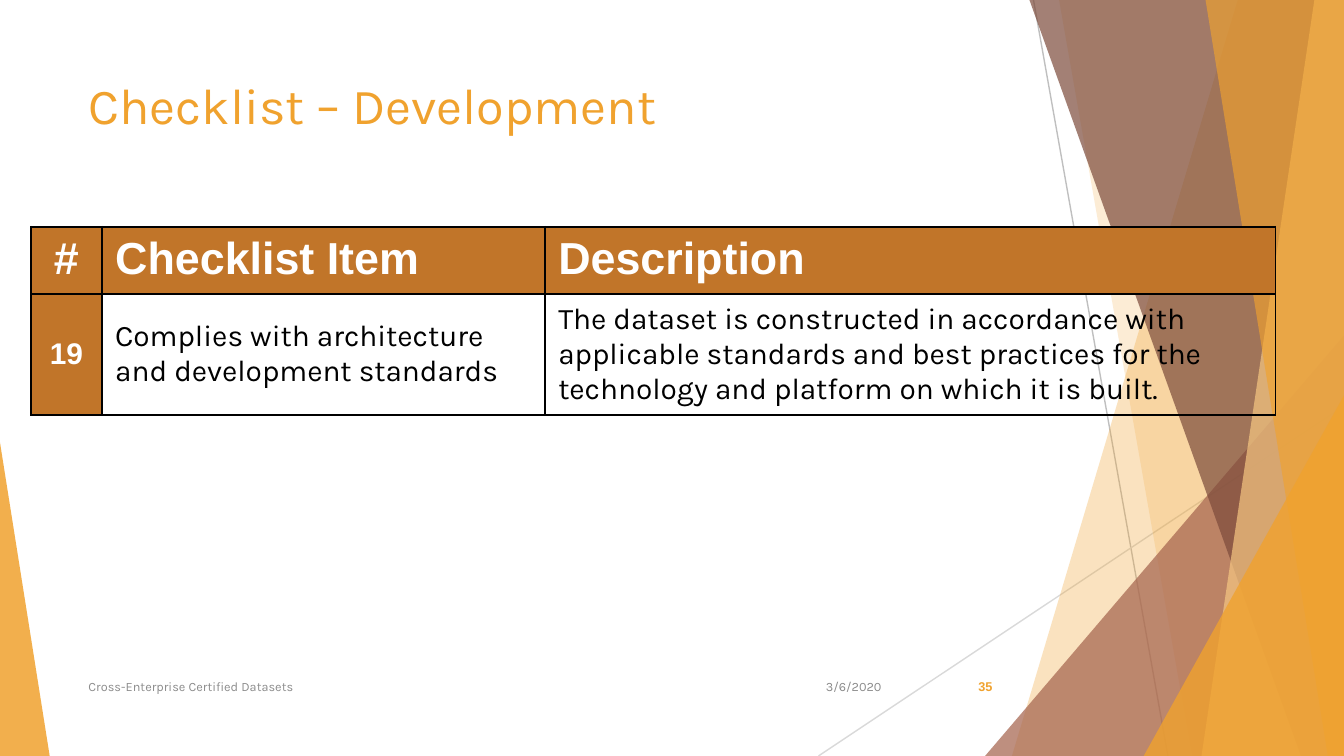
from dataclasses import dataclass

from lxml import etree
from pptx import Presentation
from pptx import util as u
from pptx.dml.color import RGBColor
from pptx.enum import shapes, text
from pptx.oxml.ns import qn


@dataclass(frozen=True)
class Theme:
    body_font: str = "Karla"
    strong_font: str = "Arial"
    amber: str = "F0A22E"
    sand: str = "F6C782"
    clay: str = "A5644E"
    brown: str = "7C4B3B"
    header: str = "C17529"
    ink: str = "000000"
    white: str = "FFFFFF"
    muted: str = "8C8C8C"
    line_dark: str = "BFBFBF"
    line_light: str = "D9D9D9"
    title: float = 27
    heading: float = 24
    body: float = 16
    small: float = 6.8


THEME = Theme()


@dataclass(frozen=True)
class Box:
    left: int
    top: int
    width: int
    height: int

    def point(self, x, y):
        """Turn percentages of this box into a position on the slide."""
        return (round(self.left + self.width * x / 100),
                round(self.top + self.height * y / 100))

    def area(self, x, y, width, height):
        """Cut out a smaller box, measured in percentages."""
        return Box(*self.point(x, y), round(self.width * width / 100),
                   round(self.height * height / 100))

    def frame(self):
        return self.left, self.top, self.width, self.height


def write(frame, words, *, size, color, font=THEME.body_font, bold=False,
          align=text.PP_ALIGN.LEFT):
    para = frame.paragraphs[0]
    para.alignment = align
    span = para.add_run()
    span.text = words
    span.font.name = font
    span.font.size = u.Pt(size)
    span.font.bold = bold
    span.font.color.rgb = RGBColor.from_string(color)


def add_text(page, box, words, anchor=text.MSO_ANCHOR.MIDDLE, **style):
    frame = page.shapes.add_textbox(*box.frame()).text_frame
    frame.word_wrap = True
    frame.vertical_anchor = anchor
    write(frame, words, **style)


def paint(shape, color, opacity):
    shape.shadow.inherit = False
    shape.line.fill.background()
    shape.fill.solid()
    shape.fill.fore_color.rgb = RGBColor.from_string(color)
    tint = shape._element.spPr.find(".//" + qn("a:srgbClr"))
    etree.SubElement(tint, qn("a:alpha"), val=str(opacity * 1000))


def add_hairline(page, box, start, end, color):
    line = page.shapes.add_connector(shapes.MSO_CONNECTOR.STRAIGHT,
                                     *box.point(*start), *box.point(*end))
    line.line.width = u.Pt(0.75)
    line.line.color.rgb = RGBColor.from_string(color)
    etree.SubElement(line._element.spPr, qn("a:effectLst"))


def add_blade(page, box, top, bottom, color, opacity):
    """Fill from a slanted edge to the right side of the box."""
    builder = page.shapes.build_freeform(*box.point(top, 0))
    builder.add_line_segments(
        [box.point(100, 0), box.point(100, 100), box.point(bottom, 100)])
    paint(builder.convert_to_shape(), color, opacity)


def add_corner(page, box, apex, color, opacity):
    """Draw a right triangle whose apex is at the left (0) or right (1)."""
    corner = page.shapes.add_shape(
        shapes.MSO_SHAPE.ISOSCELES_TRIANGLE, *box.frame())
    corner.adjustments[0] = apex
    paint(corner, color, opacity)


def add_backdrop(page, box):
    add_hairline(page, box, (76.9, 0), (86.9, 100), THEME.line_dark)
    add_hairline(page, box, (100, 53.7), (60.9, 100), THEME.line_light)
    add_blade(page, box, 92.1, 75.3, THEME.amber, 30)
    add_blade(page, box, 78.8, 88.7, THEME.amber, 20)
    add_corner(page, box.area(73.3, 44.4, 26.7, 55.6), 1, THEME.clay, 72)
    add_blade(page, box, 76.6, 96.8, THEME.brown, 70)
    add_blade(page, box, 97.8, 89.4, THEME.sand, 70)
    add_blade(page, box, 89.7, 98.8, THEME.amber, 65)
    add_corner(page, box.area(85.1, 52.3, 14.9, 47.7), 1, THEME.amber, 80)
    add_corner(page, box.area(0, 58.5, 3.7, 41.5), 0, THEME.amber, 85)


def add_cell_border(cell):
    props = cell._tc.get_or_add_tcPr()
    for index, side in enumerate(("lnL", "lnR", "lnT", "lnB")):
        edge = etree.Element(qn("a:" + side), w=str(u.Pt(1)))
        fill = etree.SubElement(edge, qn("a:solidFill"))
        etree.SubElement(fill, qn("a:srgbClr"), val=THEME.ink)
        props.insert(index, edge)


def add_checklist(page, box, rows):
    columns, heights = (5.7, 35.6, 58.7), (35, 65)
    table = page.shapes.add_table(len(rows), len(columns), *box.frame()).table
    table.first_row = table.horz_banding = False
    for column, share in zip(table.columns, columns):
        column.width = round(box.width * share / 100)
    for row, share in zip(table.rows, heights):
        row.height = round(box.height * share / 100)
    for r, row in enumerate(rows):
        for c, words in enumerate(row):
            cell = table.cell(r, c)
            strong = r == 0 or c == 0
            if strong:
                cell.fill.solid()
                cell.fill.fore_color.rgb = RGBColor.from_string(THEME.header)
            else:
                cell.fill.background()
            add_cell_border(cell)
            cell.vertical_anchor = (text.MSO_ANCHOR.MIDDLE if r
                                    else text.MSO_ANCHOR.TOP)
            write(cell.text_frame, words, bold=strong,
                  size=THEME.body if r else THEME.heading,
                  color=THEME.white if strong else THEME.ink,
                  font=THEME.strong_font if strong else THEME.body_font,
                  align=text.PP_ALIGN.LEFT if c else text.PP_ALIGN.CENTER)


def add_footer(page, box, label, date, number):
    add_text(page, box.area(0, 0, 73.3, 100), label,
             size=THEME.small, color=THEME.muted)
    add_text(page, box.area(75.9, 0, 10.6, 100), date, size=THEME.small,
             color=THEME.muted, align=text.PP_ALIGN.RIGHT)
    add_text(page, box.area(92.1, 0, 7.9, 100), number, size=THEME.small,
             color=THEME.amber, font=THEME.strong_font, bold=True,
             align=text.PP_ALIGN.CENTER)


def main():
    deck = Presentation()
    deck.slide_width = u.Inches(10)
    deck.slide_height = deck.slide_width * 9 // 16
    page = deck.slides.add_slide(deck.slide_layouts[6])
    slide = Box(0, 0, deck.slide_width, deck.slide_height)

    add_backdrop(page, slide)
    add_text(page, slide.area(5.6, 8.9, 70.5, 19.2),
             "Checklist – Development", anchor=text.MSO_ANCHOR.TOP,
             size=THEME.title, color=THEME.amber)
    add_checklist(page, slide.area(2.3, 30, 92.6, 24), [
        ("#", "Checklist Item", "Description"),
        ("19", "Complies with architecture and development standards",
         "The dataset is constructed in accordance with applicable standards "
         "and best practices for the technology and platform on which it is "
         "built."),
    ])
    add_footer(page, slide.area(5.6, 88.2, 70.5, 5.3),
               "Cross-Enterprise Certified Datasets", "3/6/2020", "35")
    deck.save("out.pptx")


if __name__ == "__main__":
    main()
